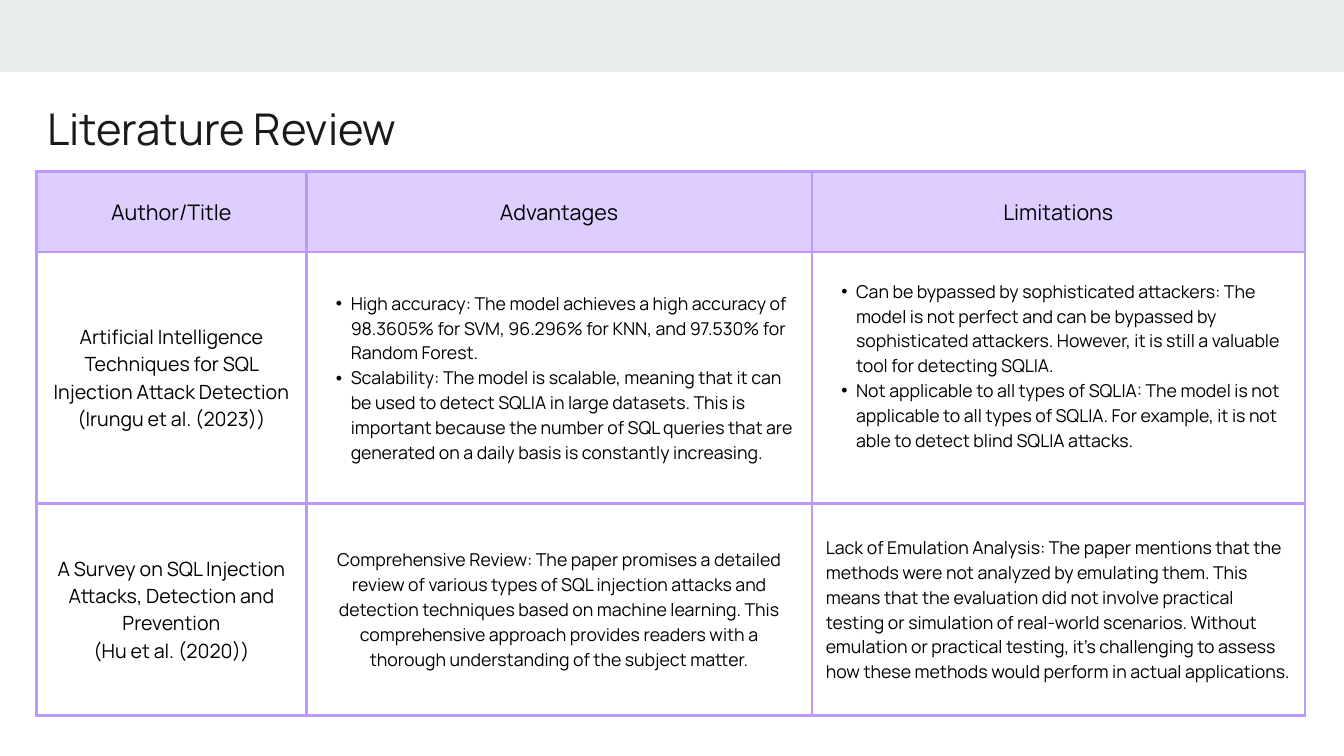
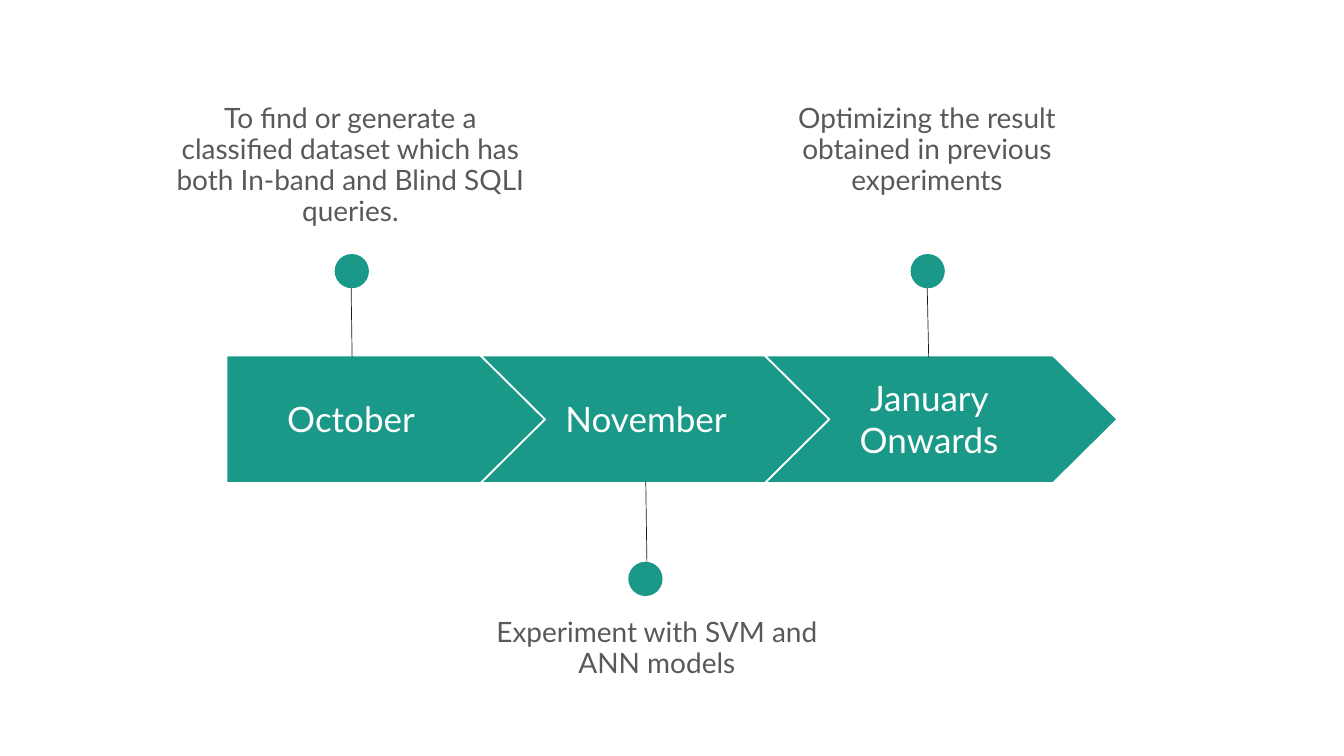
from lxml import etree
from pptx import Presentation
from pptx import util as u
from pptx.dml.color import RGBColor
from pptx.enum import shapes, text
from pptx.oxml import ns

color = RGBColor.from_string
WHITE, INK, TEAL, GREY = "FFFFFF", "1A1A1A", "1A9988", "595959"
BAND, LILAC, VIOLET = "E9EDEE", "DECDFF", "BB99FF"
LEFT, CENTER = text.PP_ALIGN.LEFT, text.PP_ALIGN.CENTER


def add_label(slide, wording, box, font, size, ink, leading, align=CENTER):
    frame = slide.shapes.add_textbox(*map(u.Inches, box)).text_frame
    frame.word_wrap = True
    frame.margin_left = frame.margin_right = frame.margin_top = frame.margin_bottom = 0
    frame.text = wording
    paragraph = frame.paragraphs[0]
    paragraph.alignment = align
    paragraph.line_spacing = u.Pt(leading)
    run_font = paragraph.runs[0].font
    run_font.name, run_font.size = font, u.Pt(size)
    run_font.color.rgb = color(ink)


def add_filled(slide, preset, box, fill):
    shape = slide.shapes.add_shape(preset, *map(u.Inches, box))
    shape.shadow.inherit = False
    shape.fill.solid()
    shape.fill.fore_color.rgb = color(fill)
    shape.line.fill.background()
    return shape


deck = Presentation()
deck.slide_width, deck.slide_height = u.Inches(20), u.Inches(11.25)
blank = deck.slide_layouts[6]

review = deck.slides.add_slide(blank)
add_filled(review, shapes.MSO_SHAPE.RECTANGLE, (0, 0, 20, 1.07), BAND)

papers = [
    [["Author/Title"], ["Advantages"], ["Limitations"]],
    [
        ["Artificial Intelligence Techniques for SQL Injection Attack Detection",
         "(Irungu et al. (2023))"],
        ["High accuracy: The model achieves a high accuracy of 98.3605% for SVM, "
         "96.296% for KNN, and 97.530% for Random Forest.",
         "Scalability: The model is scalable, meaning that it can be used to detect "
         "SQLIA in large datasets. This is important because the number of SQL queries "
         "that are generated on a daily basis is constantly increasing."],
        ["Can be bypassed by sophisticated attackers: The model is not perfect and can "
         "be bypassed by sophisticated attackers. However, it is still a valuable tool "
         "for detecting SQLIA.",
         "Not applicable to all types of SQLIA: The model is not applicable to all types "
         "of SQLIA. For example, it is not able to detect blind SQLIA attacks."],
    ],
    [
        ["A Survey on SQL Injection Attacks, Detection and Prevention",
         "(Hu et al. (2020))"],
        ["Comprehensive Review: The paper promises a detailed review of various types "
         "of SQL injection attacks and detection techniques based on machine learning. "
         "This comprehensive approach provides readers with a thorough understanding of "
         "the subject matter."],
        ["Lack of Emulation Analysis: The paper mentions that the methods were not "
         "analyzed by emulating them. This means that the evaluation did not involve "
         "practical testing or simulation of real-world scenarios. Without emulation or "
         "practical testing, it's challenging to assess how these methods would perform "
         "in actual applications."],
    ],
]
grid = review.shapes.add_table(
    3, 3, u.Inches(0.54), u.Inches(2.55), u.Inches(18.88), u.Inches(8.1)).table
grid.first_row = grid.horz_banding = False
for column, width in zip(grid.columns, (4.02, 7.52, 7.34)):
    column.width = u.Inches(width)
for row, height in zip(grid.rows, (1.2, 3.74, 3.16)):
    row.height = u.Inches(height)

for r, paper in enumerate(papers):
    for c, statements in enumerate(paper):
        cell = grid.cell(r, c)
        cell.vertical_anchor = text.MSO_ANCHOR.MIDDLE
        cell.margin_left = cell.margin_right = u.Inches(0.21)
        cell.margin_top = cell.margin_bottom = u.Inches(0.21)
        borders = cell._tc.get_or_add_tcPr()
        for side in ("a:lnL", "a:lnR", "a:lnT", "a:lnB"):
            edge = etree.SubElement(borders, ns.qn(side), w=str(u.Pt(3)))
            paint = etree.SubElement(edge, ns.qn("a:solidFill"))
            etree.SubElement(paint, ns.qn("a:srgbClr"), val=VIOLET)
        if r == 0:
            cell.fill.solid()
            cell.fill.fore_color.rgb = color(LILAC)
        else:
            cell.fill.background()

        size = 23 if r == 0 else 21 if c == 0 else 19
        bulleted = r == 1 and c > 0
        flush_left = bulleted or (r == 2 and c == 2)
        cell.text_frame.text = "\n".join(statements)
        for paragraph in cell.text_frame.paragraphs:
            paragraph.alignment = LEFT if flush_left else CENTER
            paragraph.line_spacing = u.Pt(size * 1.4)
            run_font = paragraph.runs[0].font
            run_font.name, run_font.size = "Manrope", u.Pt(size)
            run_font.color.rgb = color("000000")
            if bulleted:
                layout = paragraph._p.get_or_add_pPr()
                layout.set("marL", str(u.Inches(0.45)))
                layout.set("indent", str(u.Inches(-0.22)))
                etree.SubElement(layout, ns.qn("a:buFont"), typeface="Arial")
                etree.SubElement(layout, ns.qn("a:buChar"), char="•")
grid.cell(1, 2).margin_bottom = u.Inches(0.57)

add_label(review, "Literature Review", (0.7, 1.52, 16.46, 0.79),
          "Manrope", 46.8, INK, 56.2, LEFT)

timeline = deck.slides.add_slide(blank)
PENTAGON, CHEVRON = shapes.MSO_SHAPE.PENTAGON, shapes.MSO_SHAPE.CHEVRON
DOT = 0.51
milestones = [
    (PENTAGON, 3.37, 4.79, "October", (3.48, 5.92, 3.49, 0.63),
     (5.22, 3.87, 5.24, 5.32), (4.98, 3.78),
     "To find or generate a classified dataset which has both In-band and Blind SQLI queries.",
     (2.46, 1.54, 5.51, 1.85)),
    (CHEVRON, 7.15, 5.25, "November", (8.05, 5.92, 3.13, 0.63),
     (9.61, 7.17, 9.63, 8.62), (9.35, 8.36),
     "Experiment with SVM and ANN models", (7.02, 9.19, 5.51, 0.94)),
    (CHEVRON, 11.38, 5.25, "January Onwards", (12.26, 5.61, 3.13, 1.25),
     (13.79, 3.87, 13.82, 5.32), (13.55, 3.78),
     "Optimizing the result obtained in previous experiments", (11.04, 1.54, 5.51, 1.39)),
]
for preset, left, width, month, month_box, stem_ends, dot_corner, task, task_box in milestones:
    arrow = add_filled(timeline, preset, (left, 5.29, width, 1.9), TEAL)
    arrow.adjustments[0] = 0.505
    arrow.line.color.rgb = color(WHITE)
    arrow.line.width = u.Pt(2)
    add_label(timeline, month, month_box, "Lato", 37.5, WHITE, 44.9)

    stem = timeline.shapes.add_connector(
        shapes.MSO_CONNECTOR.STRAIGHT, *map(u.Inches, stem_ends))
    stem.line.color.rgb = color(INK)
    stem.line.width = u.Pt(0.75)
    etree.SubElement(stem._element.spPr, ns.qn("a:effectLst"))
    add_filled(timeline, shapes.MSO_SHAPE.OVAL, (*dot_corner, DOT, DOT), TEAL)
    add_label(timeline, task, task_box, "Lato", 30, GREY, 33.1)

deck.save("out.pptx")
